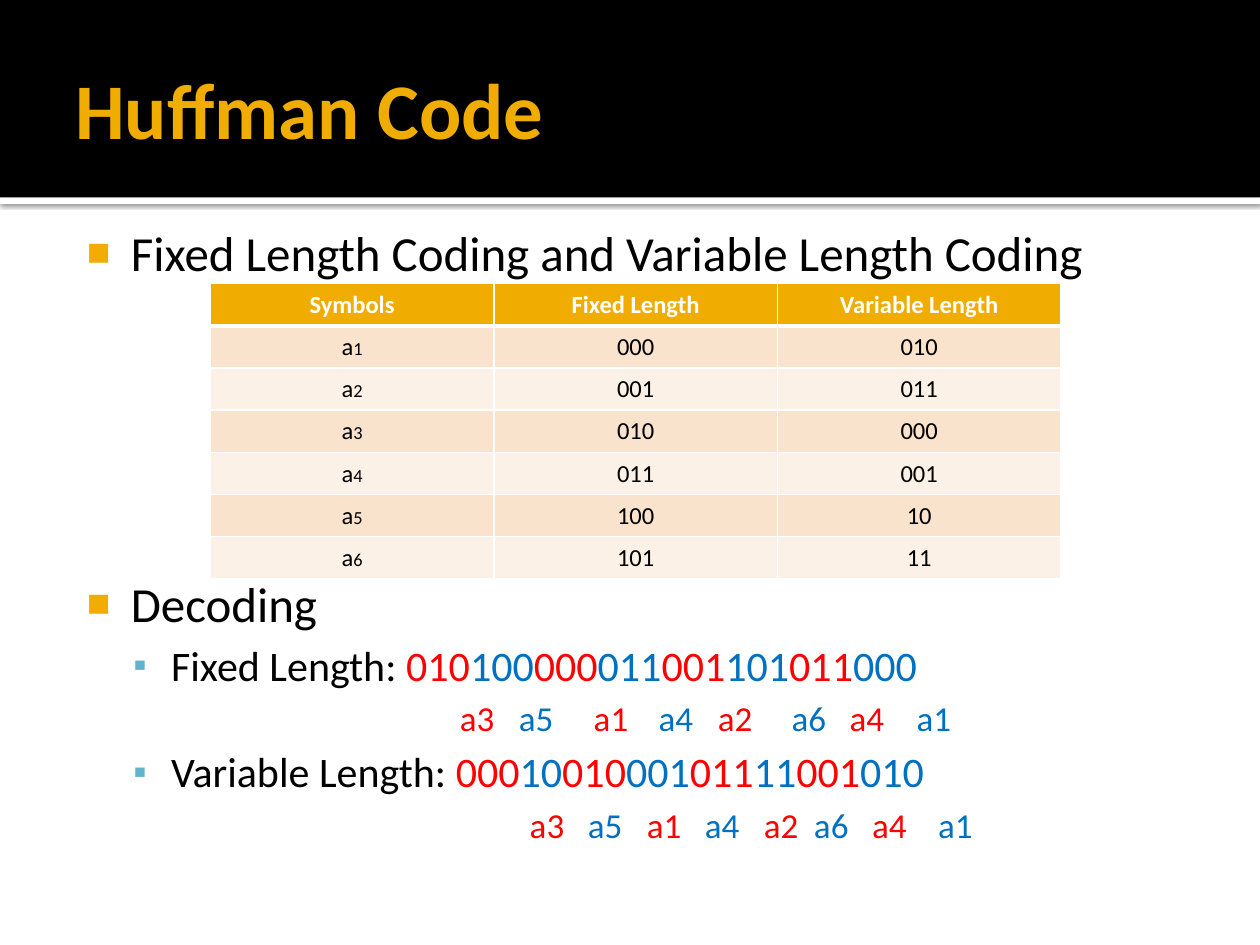
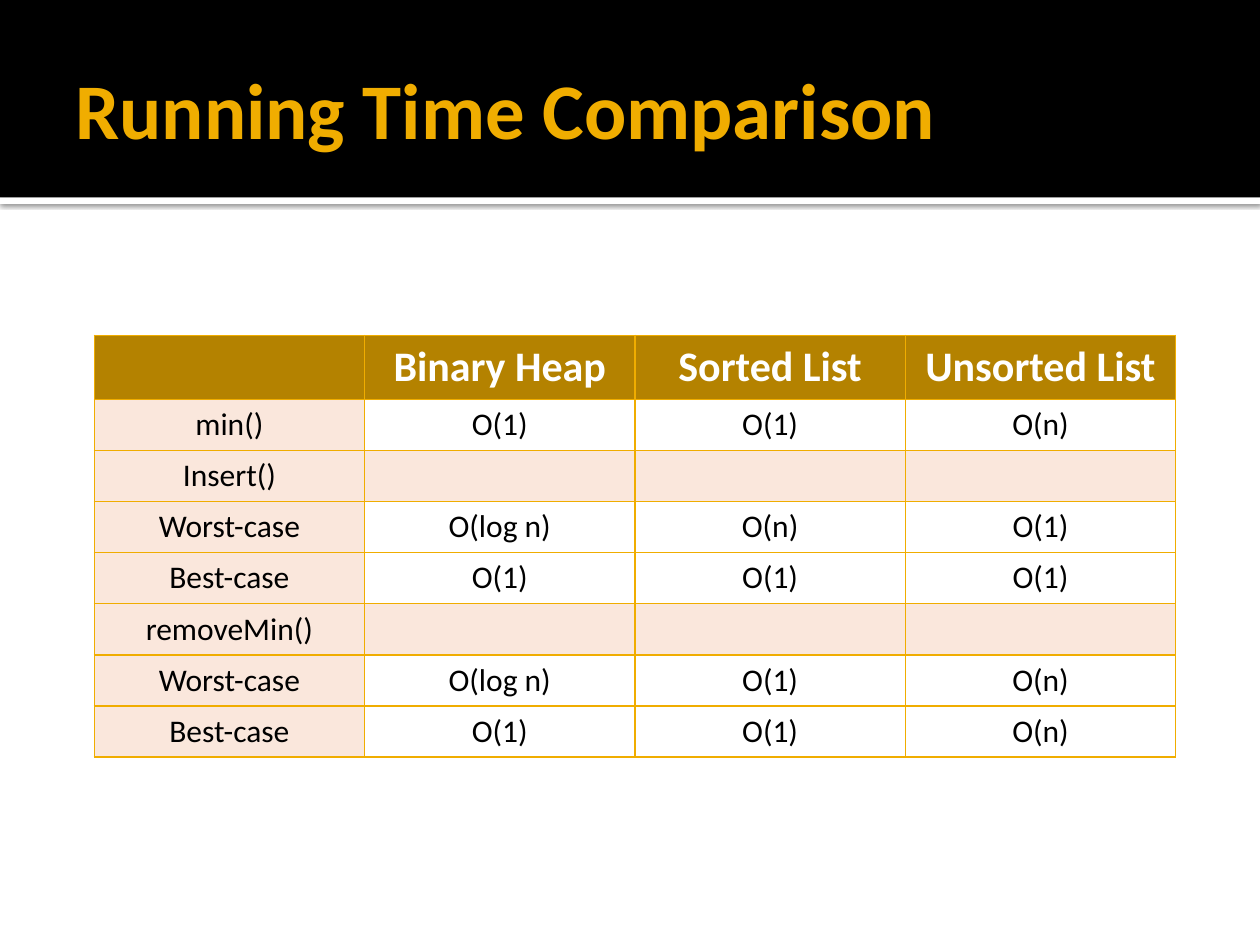
from itertools import cycle

from lxml import etree
from pptx import Presentation
from pptx.dml.color import RGBColor
from pptx.enum import shapes, text
from pptx.oxml import ns
from pptx.util import Cm, Pt

FONT = "Calibri"
BLACK = RGBColor(0x00, 0x00, 0x00)
WHITE = RGBColor(0xFF, 0xFF, 0xFF)
GOLD = RGBColor(0xF0, 0xAD, 0x00)
DARK_GOLD = RGBColor(0xB4, 0x82, 0x00)
TEAL = RGBColor(0x60, 0xB5, 0xCC)
RED = RGBColor(0xFF, 0x00, 0x00)
BLUE = RGBColor(0x00, 0x70, 0xC0)
PEACH = RGBColor(0xF9, 0xE3, 0xCC)
PALE_PEACH = RGBColor(0xFC, 0xF1, 0xE7)
ROSE = RGBColor(0xFA, 0xE7, 0xDC)

SLIDE_W, SLIDE_H = 25.4, 19.05
BAND_H, STRIP_H = 3.98, 0.13
TITLE_BOX = (1.27, 0.43, 22.86, 3.48)
BODY_BOX = (1.27, 4.24, 22.86, 13.49)
CODES_BOX = (4.24, 5.72, 17.15, 5.95)
TIMES_BOX = (1.9, 6.76, 21.8, 8.5)

CODES = [
    ("Symbols", "Fixed Length", "Variable Length"),
    ("a", "000", "010"),
    ("a", "001", "011"),
    ("a", "010", "000"),
    ("a", "011", "001"),
    ("a", "100", "10"),
    ("a", "101", "11"),
]
TIMES = [
    ("", "Binary Heap", "Sorted List", "Unsorted List"),
    ("min()", "O(1)", "O(1)", "O(n)"),
    ("Insert()", "", "", ""),
    ("Worst-case", "O(log n)", "O(n)", "O(1)"),
    ("Best-case", "O(1)", "O(1)", "O(1)"),
    ("removeMin()", "", "", ""),
    ("Worst-case", "O(log n)", "O(1)", "O(n)"),
    ("Best-case", "O(1)", "O(1)", "O(n)"),
]
DECODED = ("a3", "a5", "a1", "a4", "a2", "a6", "a4", "a1")
DECODINGS = [
    ("Fixed Length: ",
     ("010", "100", "000", "011", "001", "101", "011", "000"),
     (7.85, 9.04, 10.55, 11.86, 13.05, 14.54, 15.71, 17.06)),
    ("Variable Length: ",
     ("000", "10", "010", "001", "011", "11", "001", "010"),
     (9.26, 10.43, 11.62, 12.79, 13.98, 14.99, 16.16, 17.49)),
]


def sub(parent, tag, **attrs):
    """Append a DrawingML element to a parent."""
    el = etree.SubElement(parent, ns.qn("a:" + tag))
    for name, value in attrs.items():
        el.set(name, str(value))
    return el


def set_font(font, size, color=BLACK, bold=False):
    """Set the deck font with a size, colour and weight."""
    font.name, font.size, font.bold = FONT, Pt(size), bold
    font.color.rgb = color


def add_rect(s, top, height, color):
    """Add a plain full-width rectangle."""
    sp = s.shapes.add_shape(shapes.MSO_SHAPE.RECTANGLE, 0, Cm(top),
                            Cm(SLIDE_W), Cm(height))
    sp.shadow.inherit = False
    sp.fill.solid()
    sp.fill.fore_color.rgb = color
    sp.line.fill.background()
    return sp


def add_text_box(s, box, insets):
    """Add a wrapping text box with the given insets and return its frame."""
    tf = s.shapes.add_textbox(*map(Cm, box)).text_frame
    tf.word_wrap = True
    tf.margin_left, tf.margin_top, tf.margin_right, tf.margin_bottom = map(Cm, insets)
    return tf


def add_header(s, title):
    """Add the black band, its shadowed strip and the slide title."""
    strip = add_rect(s, BAND_H, STRIP_H, WHITE)
    effects = strip._element.spPr.find(ns.qn("a:effectLst"))
    shadow = sub(effects, "outerShdw", blurRad=Pt(2.5), dist=Pt(0.8),
                 dir=90 * 60000, algn="t", rotWithShape=0)
    sub(sub(shadow, "srgbClr", val=BLACK), "alpha", val=60000)
    add_rect(s, 0, BAND_H, BLACK)
    tf = add_text_box(s, TITLE_BOX, (0.25, 0.13, 0.13, 0.13))
    tf.vertical_anchor = text.MSO_ANCHOR.MIDDLE
    p = tf.paragraphs[0]
    p.text = title
    set_font(p.font, 45, GOLD, True)


def add_bullet(p, char, color, percent, left, hang):
    """Give a paragraph a coloured bullet with a hanging indent."""
    pPr = p._p.get_or_add_pPr()
    pPr.set("marL", str(Cm(left)))
    pPr.set("indent", str(-Cm(hang)))
    sub(sub(pPr, "buClr"), "srgbClr", val=color)
    sub(pPr, "buSzPct", val=percent * 1000)
    sub(pPr, "buFont", typeface="Arial")
    sub(pPr, "buChar", char=char)


def add_topic(p, label, before=0):
    """Fill a first-level bullet paragraph."""
    p.text = label
    p.space_before = Pt(before)
    add_bullet(p, "■", GOLD, 80, 1.22, 0.89)
    set_font(p.font, 28)


def add_alternating_runs(p, pieces):
    """Add runs that alternate between red and blue."""
    for piece, color in zip(pieces, cycle((RED, BLUE))):
        r = p.add_run()
        r.text = piece
        r.font.color.rgb = color


def add_decoding(tf, label, groups, stops):
    """Add a coded bit string and the decoded symbols under it."""
    p = tf.add_paragraph()
    p.space_before = Pt(4)
    add_bullet(p, "▪", TEAL, 90, 2.03, 0.76)
    set_font(p.font, 24)
    p.add_run().text = label
    add_alternating_runs(p, groups)

    p = tf.add_paragraph()
    p.space_before = Pt(4)
    tabs = sub(p._p.get_or_add_pPr(), "tabLst")
    for stop in stops:
        sub(tabs, "tab", pos=Cm(stop), algn="l")
    set_font(p.font, 20)
    add_alternating_runs(p, ["\t" + symbol for symbol in DECODED])


def set_borders(cell, color, top=1, bottom=1):
    """Draw the four borders of a cell."""
    tcPr = cell._tc.get_or_add_tcPr()
    for side, width in zip("LRTB", (1, 1, top, bottom)):
        ln = sub(tcPr, "ln" + side, w=Pt(width))
        sub(sub(ln, "solidFill"), "srgbClr", val=color)


def add_grid(s, box, rows, sizes, head_h, border, rule, fill_of):
    """Add a centred table with equal columns and a bold heading row."""
    n_rows, n_cols = len(rows), len(rows[0])
    tbl = s.shapes.add_table(n_rows, n_cols, *map(Cm, box)).table
    tbl.horz_banding = False
    for col in tbl.columns:
        col.width = Cm(box[2] / n_cols)
    for i, row in enumerate(rows):
        head = i == 0
        tbl.rows[i].height = Cm(head_h if head else (box[3] - head_h) / (n_rows - 1))
        for j, value in enumerate(row):
            cell = tbl.cell(i, j)
            set_borders(cell, border, rule if i == 1 else 1, rule if head else 1)
            cell.fill.solid()
            cell.fill.fore_color.rgb = fill_of(i, j)
            p = cell.text_frame.paragraphs[0]
            p.text = value
            p.alignment = text.PP_ALIGN.CENTER
            set_font(p.font, sizes[0] if head else sizes[1],
                     WHITE if head else BLACK, head)
    return tbl


def code_fill(i, j):
    """Return the fill of a cell in the code table."""
    return GOLD if i == 0 else PEACH if i % 2 else PALE_PEACH


def time_fill(i, j):
    """Return the fill of a cell in the running time table."""
    if i == 0:
        return DARK_GOLD
    return ROSE if j == 0 or not TIMES[i][j] else WHITE


def build_huffman(s):
    """Build the slide on Huffman codes."""
    add_header(s, "Huffman Code")
    tf = add_text_box(s, BODY_BOX, (0.15, 0.25, 0.25, 0.13))
    add_topic(tf.paragraphs[0], "Fixed Length Coding and Variable Length Coding")
    add_topic(tf.add_paragraph(), "Decoding", 167)
    for decoding in DECODINGS:
        add_decoding(tf, *decoding)
    tbl = add_grid(s, CODES_BOX, CODES, (14, 14), 0.85, WHITE, 3, code_fill)
    for i in range(1, len(CODES)):
        r = tbl.cell(i, 0).text_frame.paragraphs[0].add_run()
        r.text = str(i)
        r.font.size = Pt(10.5)


def build_comparison(s):
    """Build the slide comparing running times."""
    add_header(s, "Running Time Comparison")
    add_grid(s, TIMES_BOX, TIMES, (24, 18), 1.29, GOLD, 1, time_fill)


def main():
    """Build and save the deck."""
    prs = Presentation()
    prs.slide_width, prs.slide_height = Cm(SLIDE_W), Cm(SLIDE_H)
    for build in (build_huffman, build_comparison):
        build(prs.slides.add_slide(prs.slide_layouts[6]))
    prs.save("out.pptx")


if __name__ == "__main__":
    main()
